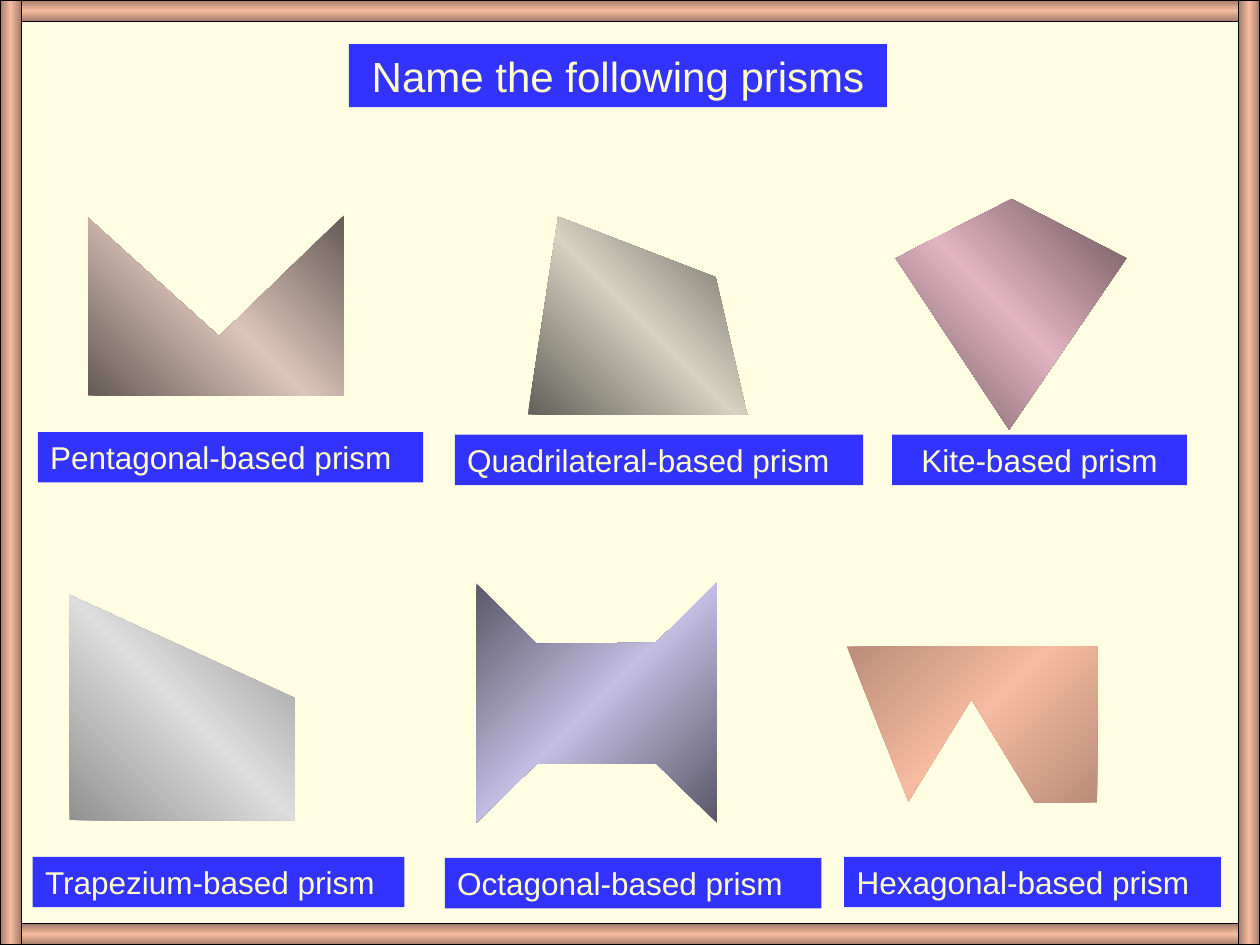
from copy import deepcopy
from pptx import Presentation
from pptx.dml.color import RGBColor
from pptx.enum.shapes import MSO_SHAPE as Kind
from pptx.enum.text import MSO_AUTO_SIZE as Fit, PP_ALIGN as Align
from pptx.oxml.ns import qn
from pptx.util import Inches, Pt

# Content
WIDE, HIGH, RAIL = 10, 7.5, 0.17
CREAM, BLUE, PALE = "FFFEE3", "3333FF", "FFFFCC"
FALL, RISE = 315, 225  # gradient axes: down to the right, down to the left

# edge colour, middle colour, gradient angle, corners
PRISMS = [
    ("655A55", "DDC4B9", RISE,
     [(0.7, 1.73), (0.7, 3.14), (2.73, 3.14), (2.73, 1.71), (1.74, 2.67)]),
    ("626058", "D6D1C0", RISE,
     [(4.19, 3.29), (5.93, 3.29), (5.68, 2.2), (4.43, 1.72)]),
    ("919191", "DDDDDD", RISE,
     [(0.55, 4.72), (0.55, 6.51), (2.34, 6.51), (2.34, 5.54)]),
    ("685258", "E2B4C1", RISE,
     [(8.03, 1.58), (7.11, 2.05), (8.01, 3.41), (8.94, 2.05)]),
    ("595767", "C3BDE1", FALL,
     [(5.69, 4.62), (5.69, 6.53), (5.21, 6.06), (4.26, 6.06),
      (3.78, 6.53), (3.78, 4.63), (4.26, 5.11), (5.21, 5.1)]),
    ("BA8D79", "F6BBA0", FALL,
     [(8.71, 5.13), (6.72, 5.13), (7.21, 6.36), (7.71, 5.55),
      (8.21, 6.37), (8.71, 6.37)]),
]

# text, left, top, width
LABELS = [
    ("Pentagonal-based prism", 0.3, 3.43, 3.06),
    ("Quadrilateral-based prism", 3.61, 3.45, 3.24),
    ("Kite-based prism", 7.08, 3.45, 2.34),
    ("Trapezium-based prism", 0.26, 6.8, 2.95),
    ("Octagonal-based prism", 3.53, 6.81, 2.99),
    ("Hexagonal-based prism", 6.7, 6.8, 2.99),
]

# left, top, width, height, gradient angle
RAILS = [
    (0, HIGH - RAIL, WIDE, RAIL, 270),
    (0, 0, WIDE, RAIL, 270),
    (WIDE - RAIL, 0, RAIL, HIGH, 180),
    (0, 0, RAIL, HIGH, 180),
]

deck = Presentation()
deck.slide_width, deck.slide_height = Inches(WIDE), Inches(HIGH)
slide = deck.slides.add_slide(deck.slide_layouts[6])
shapes = slide.shapes


def color(code):
    return RGBColor.from_string(code)


def shade(shape, edge, mid, angle):
    """Fill with a band that runs edge, middle, edge."""
    shape.shadow.inherit = False
    fill = shape.fill
    fill.gradient()
    fill.gradient_angle = angle
    stops = next(shape._element.spPr.iter(qn("a:gsLst")))
    stops.append(deepcopy(stops[0]))
    for stop, spot, code in zip(fill.gradient_stops, (0, 0.5, 1), (edge, mid, edge)):
        stop.position = spot
        stop.color.rgb = color(code)


def label(text, x, y, w, h=0.4, size=18, align=Align.LEFT):
    box = shapes.add_textbox(*map(Inches, (x, y, w, h)))
    box.fill.solid()
    box.fill.fore_color.rgb = color(BLUE)
    frame = box.text_frame
    frame.word_wrap = True
    frame.auto_size = Fit.SHAPE_TO_FIT_TEXT
    para = frame.paragraphs[0]
    para.alignment = align
    run = para.add_run()
    run.text = text
    font = run.font
    font.name, font.size = "Arial", Pt(size)
    font.color.rgb = color(PALE)


# Background
back = slide.background.fill
back.solid()
back.fore_color.rgb = color(CREAM)

# Prism faces
for edge, mid, angle, points in PRISMS:
    start, *rest = [(Inches(x), Inches(y)) for x, y in points]
    pen = shapes.build_freeform(*start)
    pen.add_line_segments(rest, close=True)
    face = pen.convert_to_shape()
    shade(face, edge, mid, angle)
    face.line.fill.background()

# Title and names
label("Name the following prisms", 2.77, 0.35, 4.27, 0.5, size=24, align=Align.CENTER)
for text, x, y, w in LABELS:
    align = Align.CENTER if text.startswith("Kite") else Align.LEFT
    label(text, x, y, w, align=align)

# Frame rails
for *area, angle in RAILS:
    rail = shapes.add_shape(Kind.RECTANGLE, *map(Inches, area))
    shade(rail, "A27B69", "F6BBA0", angle)
    rail.line.color.rgb = color("000000")
    rail.line.width = Pt(0.75)

deck.save("out.pptx")
